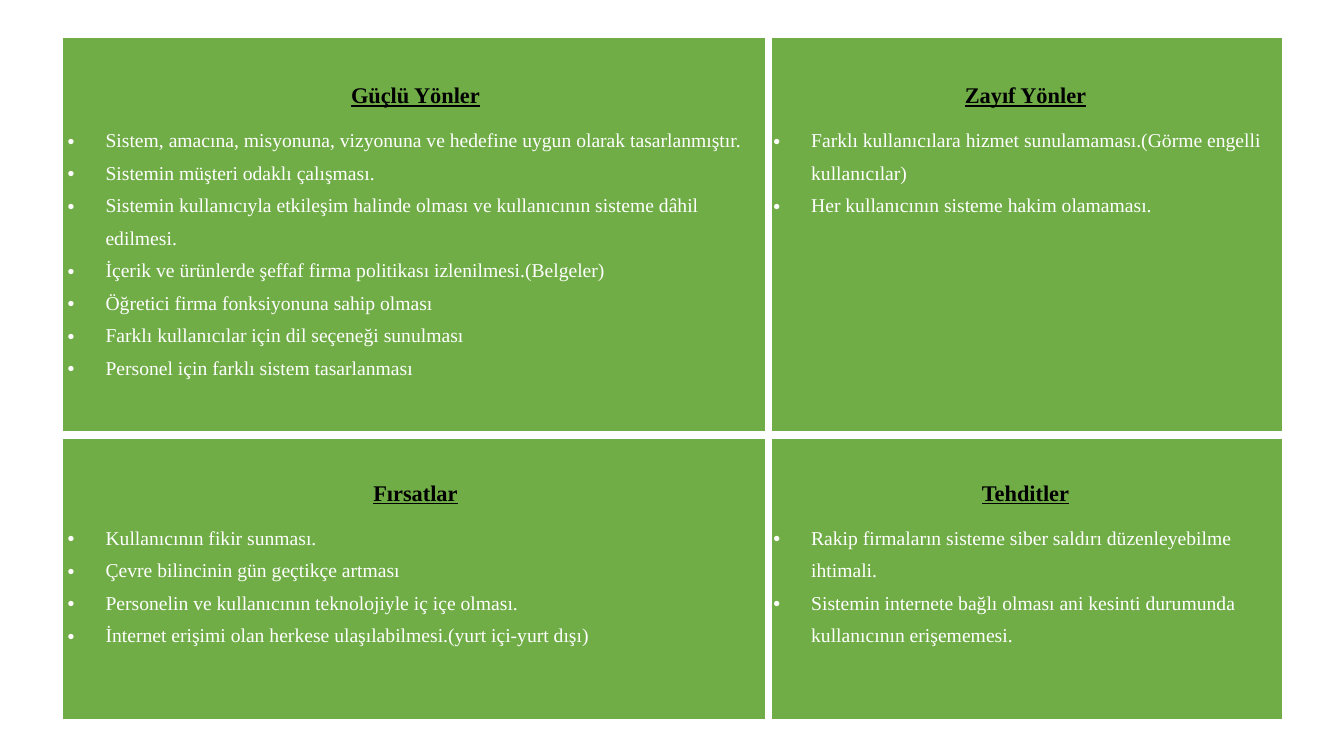
from lxml import etree
from pptx import Presentation
from pptx.dml.color import RGBColor
from pptx.enum.text import PP_ALIGN
from pptx.oxml.ns import qn
from pptx.util import Pt

CENTER, LEFT = PP_ALIGN.CENTER, PP_ALIGN.LEFT
GREEN, WHITE, BLACK = "70AD47", "FFFFFF", "000000"
FONT = "Times New Roman"
HEADING = {"size": Pt(16), "bold": True, "underline": True}
BODY = {"size": Pt(14), "bold": False, "underline": False}
MARGINS = {"margin_left": Pt(3.6), "margin_right": Pt(3.6),
           "margin_top": Pt(24), "margin_bottom": Pt(0)}
INDENT = Pt(27)
BORDER_WIDTH = Pt(6)

COLUMN_WIDTHS = [504, 367.5]
ROW_HEIGHTS = [284, 203.2]
SWOT = [
    [
        ("Güçlü Yönler", [
            "Sistem, amacına, misyonuna, vizyonuna ve hedefine uygun olarak tasarlanmıştır.",
            "Sistemin müşteri odaklı çalışması.",
            "Sistemin kullanıcıyla etkileşim halinde olması ve kullanıcının sisteme dâhil edilmesi.",
            "İçerik ve ürünlerde şeffaf firma politikası izlenilmesi.(Belgeler)",
            "Öğretici firma fonksiyonuna sahip olması",
            "Farklı kullanıcılar için dil seçeneği sunulması",
            "Personel için farklı sistem tasarlanması",
        ]),
        ("Zayıf Yönler", [
            "Farklı kullanıcılara hizmet sunulamaması.(Görme engelli kullanıcılar)",
            "Her kullanıcının sisteme hakim olamaması.",
        ]),
    ],
    [
        ("Fırsatlar", [
            "Kullanıcının fikir sunması.",
            "Çevre bilincinin gün geçtikçe artması",
            "Personelin ve kullanıcının teknolojiyle iç içe olması.",
            "İnternet erişimi olan herkese ulaşılabilmesi.(yurt içi-yurt dışı)",
        ]),
        ("Tehditler", [
            "Rakip firmaların sisteme siber saldırı düzenleyebilme ihtimali.",
            "Sistemin internete bağlı olması ani kesinti durumunda kullanıcının erişememesi.",
        ]),
    ],
]


def color(hex_string):
    return RGBColor.from_string(hex_string)


def set_attributes(target, values):
    for name, value in values.items():
        setattr(target, name, value)


def add_bullet(paragraph):
    properties = paragraph._p.get_or_add_pPr()
    properties.set("marL", str(INDENT))
    properties.set("indent", str(-INDENT))
    etree.SubElement(properties, qn("a:buFont")).set("typeface", "Arial")
    etree.SubElement(properties, qn("a:buChar")).set("char", "•")


def write_paragraph(paragraph, text, font_values, font_color, alignment, space_after):
    set_attributes(paragraph, {"alignment": alignment, "line_spacing": 1.5,
                               "space_before": Pt(0), "space_after": Pt(space_after)})
    run = paragraph.add_run()
    run.text = text
    set_attributes(run.font, {"name": FONT, **font_values})
    run.font.color.rgb = color(font_color)


def set_borders(cell, edges):
    properties = cell._tc.get_or_add_tcPr()
    for position, edge in enumerate(edges):
        line = etree.Element(qn(f"a:ln{edge}"), w=str(BORDER_WIDTH))
        fill = etree.SubElement(line, qn("a:solidFill"))
        etree.SubElement(fill, qn("a:srgbClr")).set("val", WHITE)
        properties.insert(position, line)


def fill_cell(cell, heading, items, edges):
    set_attributes(cell, MARGINS)
    cell.fill.solid()
    cell.fill.fore_color.rgb = color(GREEN)
    set_borders(cell, edges)
    frame = cell.text_frame
    write_paragraph(frame.paragraphs[0], heading, HEADING, BLACK, CENTER, 8)
    for item in items:
        paragraph = frame.add_paragraph()
        add_bullet(paragraph)
        write_paragraph(paragraph, item, BODY, WHITE, LEFT, 0)


def add_swot_table(slide, left, top):
    width, height = sum(COLUMN_WIDTHS), sum(ROW_HEIGHTS)
    table = slide.shapes.add_table(len(ROW_HEIGHTS), len(COLUMN_WIDTHS),
                                   Pt(left), Pt(top), Pt(width), Pt(height)).table
    for column, column_width in zip(table.columns, COLUMN_WIDTHS):
        column.width = Pt(column_width)
    for row, row_height in zip(table.rows, ROW_HEIGHTS):
        row.height = Pt(row_height)
    # Only the edges between the four cells carry thick lines
    for row_index, quadrants in enumerate(SWOT):
        for column_index, (heading, items) in enumerate(quadrants):
            edges = "RL"[column_index] + "BT"[row_index]
            fill_cell(table.cell(row_index, column_index), heading, items, edges)


def main():
    presentation = Presentation()
    presentation.slide_width, presentation.slide_height = Pt(960), Pt(540)
    slide = presentation.slides.add_slide(presentation.slide_layouts[6])
    add_swot_table(slide, 44.8, 26.8)
    presentation.save("out.pptx")


if __name__ == "__main__":
    main()
